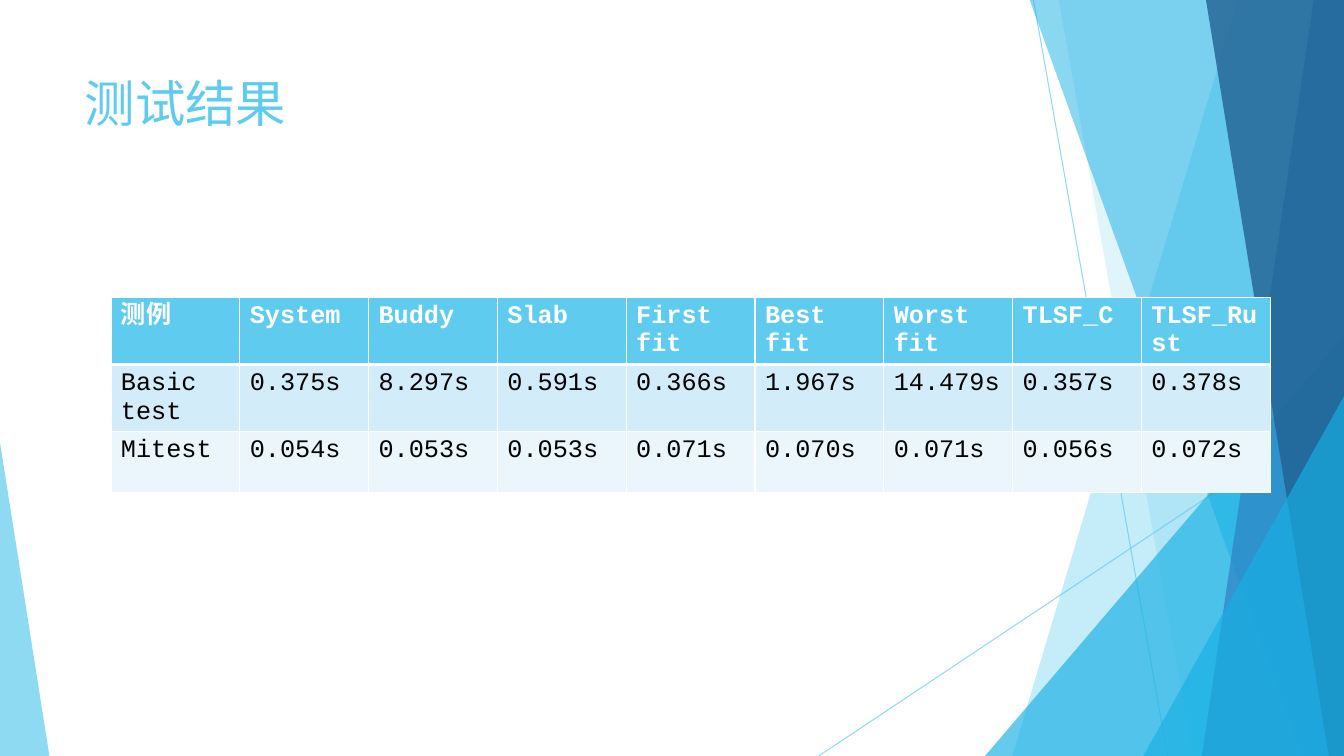
"""Build the test results slide: faceted backdrop, title and timing table."""
from dataclasses import dataclass

from pptx import Presentation
from pptx.dml.color import RGBColor
from pptx.enum.shapes import MSO_CONNECTOR as Connector, MSO_SHAPE as Preset
from pptx.enum.text import MSO_ANCHOR as Anchor, PP_ALIGN as Align
from pptx.oxml import parse_xml
from pptx.oxml.ns import qn
from pptx.util import Inches, Pt

COLORS = {
    "sky": "5FCBEF", "cyan": "17B0E4", "blue": "2E83C3", "navy": "226292",
    "white": "FFFFFF", "black": "000000", "band": "D2ECF9", "pale": "EAF6FC",
}
FONT = "Courier New"
DRAWING_NS = 'xmlns:a="http://schemas.openxmlformats.org/drawingml/2006/main"'
WIDTH, HEIGHT, BLEED = 13.33, 7.5, -0.01


@dataclass(frozen=True)
class Ray:
    start: tuple[float, float]
    end: tuple[float, float]


@dataclass(frozen=True)
class Facet:
    """A panel reaching the right edge, with a slanted left side."""
    top_x: float
    bottom_x: float
    color: str
    opacity: int


@dataclass(frozen=True)
class Wedge:
    """A right triangle standing on the bottom edge."""
    left: float
    top: float
    width: float
    apex: float
    color: str
    opacity: int


RAYS = [Ray((10.25, 0), (11.58, HEIGHT)), Ray((WIDTH, 4.03), (8.12, HEIGHT))]
PANELS = [
    Facet(12.28, 10.04, "sky", 36),
    Facet(10.5, 11.83, "sky", 20),
    Wedge(9.77, 3.33, 3.56, 1, "cyan", 66),
    Facet(10.21, 12.91, "cyan", 50),
    Facet(13.03, 11.92, "blue", 70),
    Facet(11.96, 13.18, "navy", 80),
    Wedge(11.34, 3.93, 1.99, 1, "cyan", 66),
    Wedge(0, 4.39, 0.49, 0, "sky", 70),
]
RESULTS = [
    ["测例", "System", "Buddy", "Slab", "First fit", "Best fit", "Worst fit", "TLSF_C", "TLSF_Rust"],
    ["Basic test", "0.375s", "8.297s", "0.591s", "0.366s", "1.967s", "14.479s", "0.357s", "0.378s"],
    ["Mitest", "0.054s", "0.053s", "0.053s", "0.071s", "0.070s", "0.071s", "0.056s", "0.072s"],
]
ROW_STYLES = [("sky", "white", True), ("band", "black", False), ("pale", "black", False)]


def rgb(name: str) -> RGBColor:
    return RGBColor.from_string(COLORS[name])


def paint(target, color: str, opacity: int = 100) -> None:
    target.fill.solid()
    target.fill.fore_color.rgb = rgb(color)
    set_opacity(target.fill, opacity)


def set_opacity(fill, opacity: int) -> None:
    if opacity < 100:
        color = fill._xPr.find(".//" + qn("a:srgbClr"))
        color.append(parse_xml(f'<a:alpha {DRAWING_NS} val="{opacity * 1000}"/>'))


def draw_ray(page, ray: Ray) -> None:
    points = [Inches(value) for value in ray.start + ray.end]
    line = page.shapes.add_connector(Connector.STRAIGHT, *points)
    line.line.width = Pt(0.75)
    line.line.color.rgb = rgb("sky")
    set_opacity(line.line.fill, 70)
    line._element.spPr.append(parse_xml(f"<a:effectLst {DRAWING_NS}/>"))


def draw_panel(page, panel: Facet | Wedge) -> None:
    if isinstance(panel, Facet):
        corners = [(panel.top_x, BLEED), (WIDTH, BLEED), (WIDTH, HEIGHT), (panel.bottom_x, HEIGHT)]
        points = [(Inches(x), Inches(y)) for x, y in corners]
        builder = page.shapes.build_freeform(*points[0])
        builder.add_line_segments(points[1:], close=True)
        shape = builder.convert_to_shape()
    else:
        shape = page.shapes.add_shape(
            Preset.ISOSCELES_TRIANGLE, Inches(panel.left), Inches(panel.top),
            Inches(panel.width), Inches(HEIGHT - panel.top))
        shape.adjustments[0] = panel.apex
    shape.shadow.inherit = False
    shape.line.fill.background()
    paint(shape, panel.color, panel.opacity)


def write(frame, text: str, size: int, color: str, bold: bool = False) -> None:
    frame.text = text
    paragraph = frame.paragraphs[0]
    paragraph.alignment = Align.LEFT
    font = paragraph.runs[0].font
    font.name, font.size, font.bold = FONT, Pt(size), bold
    font.color.rgb = rgb(color)
    font._element.append(parse_xml(f'<a:ea {DRAWING_NS} typeface="{FONT}"/>'))


def add_borders(cell, widths: dict[str, int]) -> None:
    properties = cell._tc.get_or_add_tcPr()
    for index, (side, width) in enumerate(widths.items()):
        properties.insert(index, parse_xml(
            f'<a:ln{side} {DRAWING_NS} w="{Pt(width)}"><a:solidFill>'
            f'<a:srgbClr val="{COLORS["white"]}"/></a:solidFill></a:ln{side}>'))


def draw_title(page, text: str) -> None:
    title = page.shapes.title
    title.left, title.top = Inches(0.74), Inches(0.67)
    title.width, title.height = Inches(9.4), Inches(1.44)
    title.text_frame.vertical_anchor = Anchor.TOP
    write(title.text_frame, text, 36, "sky")


def draw_results(page) -> None:
    columns = len(RESULTS[0])
    table = page.shapes.add_table(
        len(RESULTS), columns, Inches(1.1), Inches(2.95), Inches(11.5), Inches(1.8)).table
    table.horz_banding = False
    for column in table.columns:
        column.width = Inches(11.5 / columns)
    for row_index, (values, style) in enumerate(zip(RESULTS, ROW_STYLES)):
        background, color, bold = style
        table.rows[row_index].height = Inches(0.6)
        borders = {"L": 1, "R": 1, "T": 3 if row_index == 1 else 1, "B": 3 if row_index == 0 else 1}
        for column_index, value in enumerate(values):
            cell = table.cell(row_index, column_index)
            paint(cell, background)
            add_borders(cell, borders)
            write(cell.text_frame, value, 18, color, bold)


def main() -> None:
    deck = Presentation()
    deck.slide_width, deck.slide_height = Inches(WIDTH), Inches(HEIGHT)
    page = deck.slides.add_slide(deck.slide_layouts[5])
    for ray in RAYS:
        draw_ray(page, ray)
    for panel in PANELS:
        draw_panel(page, panel)
    draw_title(page, "测试结果")
    draw_results(page)
    deck.save("out.pptx")


main()
